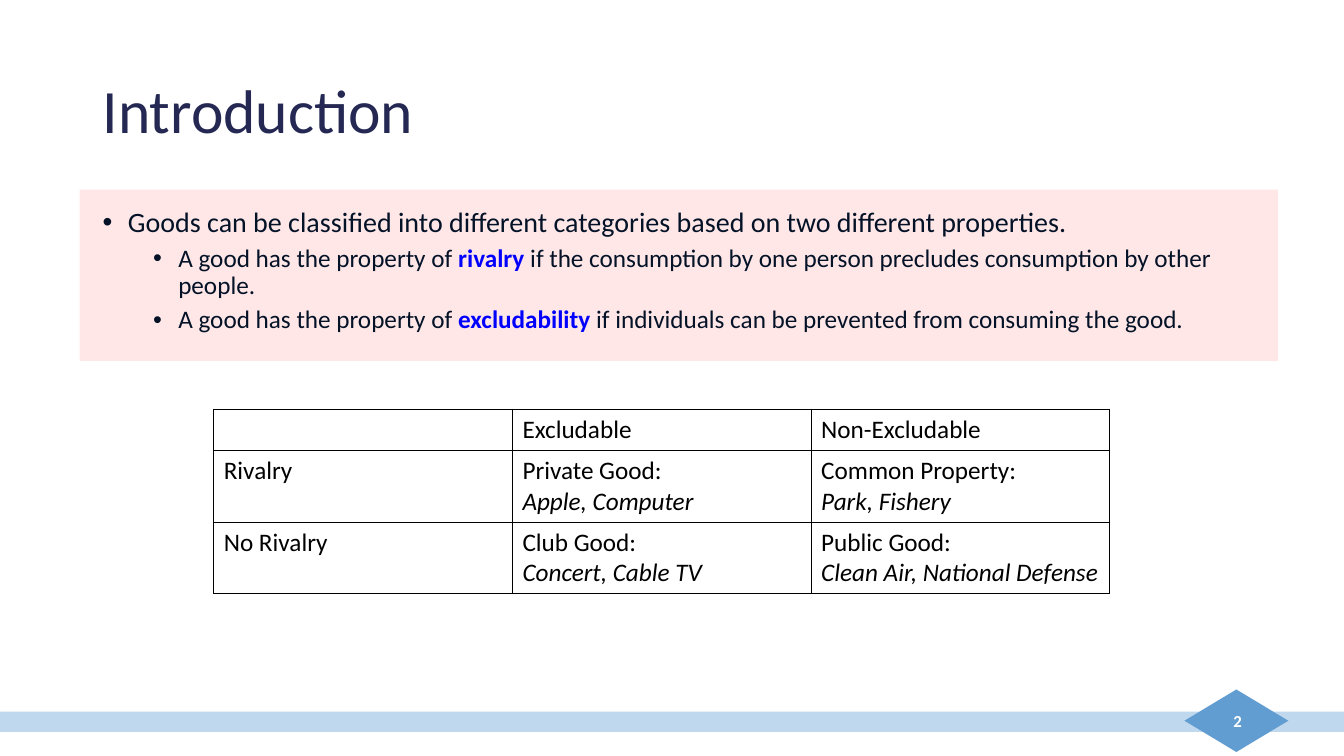
import dataclasses
import typing

import lxml.etree
import pptx
import pptx.dml.color
import pptx.enum.shapes
import pptx.enum.text
import pptx.oxml.ns
import pptx.util

SLIDE_WIDTH = pptx.util.Inches(13.333)
SLIDE_HEIGHT = pptx.util.Inches(7.5)
FONT_NAME = "Calibri"

NAVY = pptx.dml.color.RGBColor(0x24, 0x28, 0x52)
INK = pptx.dml.color.RGBColor(0x03, 0x12, 0x27)
KEYWORD_BLUE = pptx.dml.color.RGBColor(0x00, 0x00, 0xFF)
PALE_BLUE = pptx.dml.color.RGBColor(0xC0, 0xD8, 0xED)
MID_BLUE = pptx.dml.color.RGBColor(0x62, 0x9D, 0xD1)
PINK = pptx.dml.color.RGBColor(0xFF, 0xE7, 0xE7)
BLACK = pptx.dml.color.RGBColor(0x00, 0x00, 0x00)
WHITE = pptx.dml.color.RGBColor(0xFF, 0xFF, 0xFF)

RECTANGLE = pptx.enum.shapes.MSO_SHAPE.RECTANGLE
DIAMOND = pptx.enum.shapes.MSO_SHAPE.DIAMOND
TOP = pptx.enum.text.MSO_ANCHOR.TOP
MIDDLE = pptx.enum.text.MSO_ANCHOR.MIDDLE
RIGHT = pptx.enum.text.PP_ALIGN.RIGHT


def across(percent: float) -> int:
    return round(SLIDE_WIDTH * percent / 100)


def down(percent: float) -> int:
    return round(SLIDE_HEIGHT * percent / 100)


@dataclasses.dataclass(frozen=True)
class Area:
    left: float
    top: float
    width: float
    height: float

    def lengths(self) -> tuple[int, int, int, int]:
        return across(self.left), down(self.top), across(self.width), down(self.height)


@dataclasses.dataclass(frozen=True)
class Block:
    outline: typing.Any
    area: Area
    color: pptx.dml.color.RGBColor


@dataclasses.dataclass(frozen=True)
class Span:
    text: str
    color: pptx.dml.color.RGBColor
    font: dict[str, typing.Any]


@dataclasses.dataclass(frozen=True)
class Line:
    spans: list[Span]
    layout: dict[str, typing.Any] = dataclasses.field(default_factory=dict)
    bullet_indent: float = 0


@dataclasses.dataclass(frozen=True)
class TextArea:
    area: Area
    anchor: typing.Any
    lines: list[Line]


def size(points: float, **extra: typing.Any) -> dict[str, typing.Any]:
    return {"size": pptx.util.Pt(points), "name": FONT_NAME, **extra}


def property_line(keyword: str, ending: str) -> Line:
    return Line(
        [
            Span("A good has the property of ", INK, size(18)),
            Span(keyword, KEYWORD_BLUE, size(18, bold=True)),
            Span(ending, INK, size(18)),
        ],
        {"level": 1, "line_spacing": 0.9, "space_before": pptx.util.Pt(5)},
        0.75,
    )


BLOCKS = [
    Block(RECTANGLE, Area(0, 94.13, 100, 2.67), PALE_BLUE),
    Block(DIAMOND, Area(88.13, 91.2, 7.73, 8.27), MID_BLUE),
    Block(RECTANGLE, Area(5.93, 25.07, 89.18, 22.67), PINK),
]

TEXT_AREAS = [
    TextArea(
        Area(6.9, 5.33, 86.25, 19.33),
        MIDDLE,
        [Line([Span("Introduction", NAVY, size(44))], {"line_spacing": 0.9})],
    ),
    TextArea(
        Area(6.9, 26.93, 86.25, 63.47),
        TOP,
        [
            Line(
                [Span("Goods can be classified into different categories based on "
                      "two different properties.", INK, size(20))],
                {"line_spacing": 0.9},
                0.25,
            ),
            property_line("rivalry", " if the consumption by one person precludes "
                          "consumption by other people."),
            property_line("excludability", " if individuals can be prevented from "
                          "consuming the good."),
        ],
    ),
    TextArea(
        Area(70.65, 92.67, 22.5, 5.33),
        MIDDLE,
        [Line([Span("2", WHITE, size(12, bold=True))], {"alignment": RIGHT})],
    ),
]

TABLE_AREA = Area(15.9, 54.13, 66.68, 24.41)
ROW_HEIGHTS = [5.47, 9.47, 9.47]
GOODS = [
    [[], ["Excludable"], ["Non-Excludable"]],
    [["Rivalry"], ["Private Good:", "Apple, Computer"], ["Common Property:", "Park, Fishery"]],
    [["No Rivalry"], ["Club Good:", "Concert, Cable TV"],
     ["Public Good:", "Clean Air, National Defense"]],
]


def apply_format(target: typing.Any, values: dict[str, typing.Any]) -> None:
    for name, value in values.items():
        setattr(target, name, value)


def add_element(parent: typing.Any, tag: str, **attributes: str) -> typing.Any:
    return lxml.etree.SubElement(parent, pptx.oxml.ns.qn(tag), attributes)


def add_bullet(paragraph: typing.Any, indent: float) -> None:
    properties = paragraph._p.get_or_add_pPr()
    properties.set("marL", str(pptx.util.Inches(indent)))
    properties.set("indent", str(pptx.util.Inches(-0.25)))
    add_element(properties, "a:buFont", typeface="Arial")
    add_element(properties, "a:buChar", char="•")


def write_lines(text_frame: typing.Any, lines: list[Line]) -> None:
    for index, line in enumerate(lines):
        paragraph = text_frame.add_paragraph() if index else text_frame.paragraphs[0]
        apply_format(paragraph, line.layout)
        if line.bullet_indent:
            add_bullet(paragraph, line.bullet_indent)
        for span in line.spans:
            run = paragraph.add_run()
            run.text = span.text
            apply_format(run.font, span.font)
            run.font.color.rgb = span.color


def draw_block(slide: typing.Any, block: Block) -> None:
    shape = slide.shapes.add_shape(block.outline, *block.area.lengths())
    shape.shadow.inherit = False
    shape.fill.solid()
    shape.fill.fore_color.rgb = block.color
    shape.line.fill.background()


def draw_text(slide: typing.Any, text_area: TextArea) -> None:
    text_frame = slide.shapes.add_textbox(*text_area.area.lengths()).text_frame
    apply_format(text_frame, {"word_wrap": True, "vertical_anchor": text_area.anchor})
    write_lines(text_frame, text_area.lines)


def add_borders(cell: typing.Any) -> None:
    properties = cell._tc.get_or_add_tcPr()
    for side in ("L", "R", "T", "B"):
        border = add_element(properties, f"a:ln{side}", w=str(pptx.util.Pt(1)))
        add_element(add_element(border, "a:solidFill"), "a:srgbClr", val=str(BLACK))


def draw_table(slide: typing.Any) -> None:
    table = slide.shapes.add_table(len(GOODS), len(GOODS[0]), *TABLE_AREA.lengths()).table
    apply_format(table, {"first_row": False, "horz_banding": False})
    for row, height, entries in zip(table.rows, ROW_HEIGHTS, GOODS):
        row.height = down(height)
        for cell, texts in zip(row.cells, entries):
            add_borders(cell)
            cell.fill.background()
            write_lines(cell.text_frame, [
                Line([Span(text, BLACK, size(18, italic=index > 0))])
                for index, text in enumerate(texts)
            ])


def main() -> None:
    presentation = pptx.Presentation()
    apply_format(presentation, {"slide_width": SLIDE_WIDTH, "slide_height": SLIDE_HEIGHT})
    slide = presentation.slides.add_slide(presentation.slide_layouts[6])
    for block in BLOCKS:
        draw_block(slide, block)
    for text_area in TEXT_AREAS:
        draw_text(slide, text_area)
    draw_table(slide)
    presentation.save("out.pptx")


if __name__ == "__main__":
    main()
